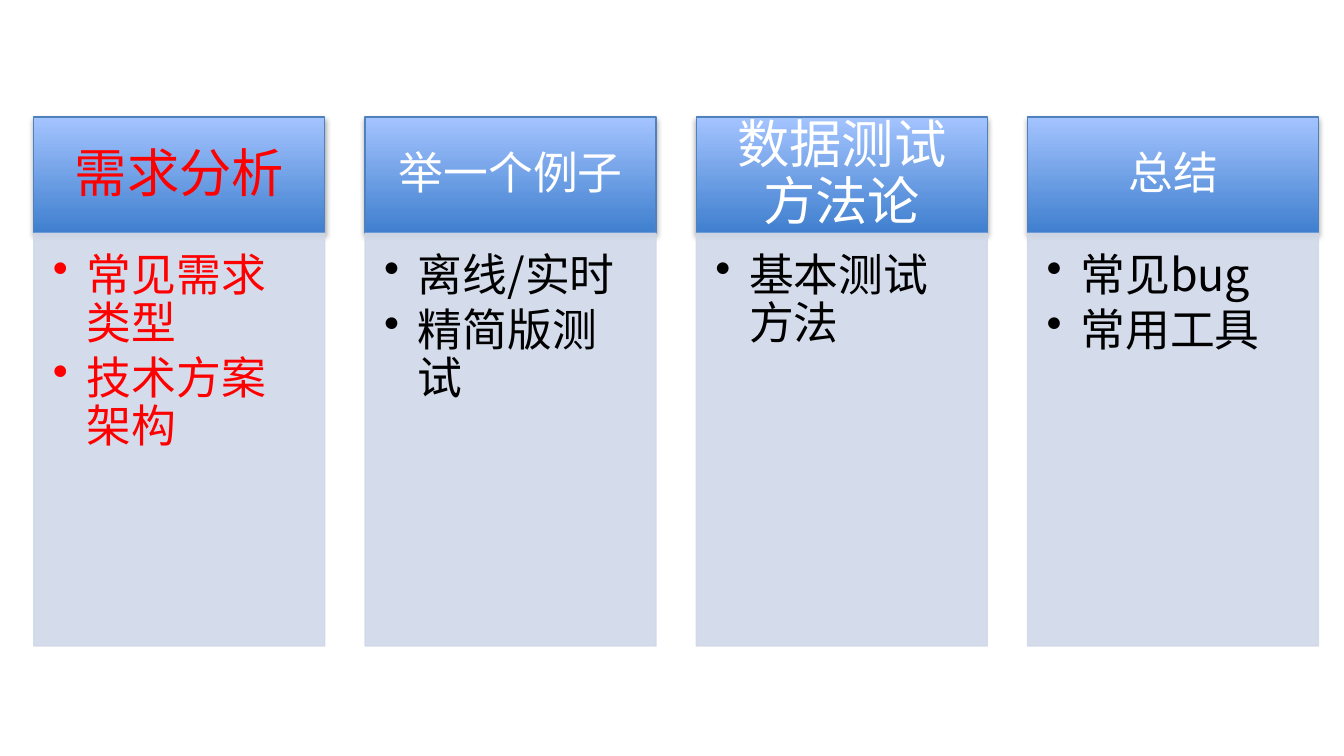
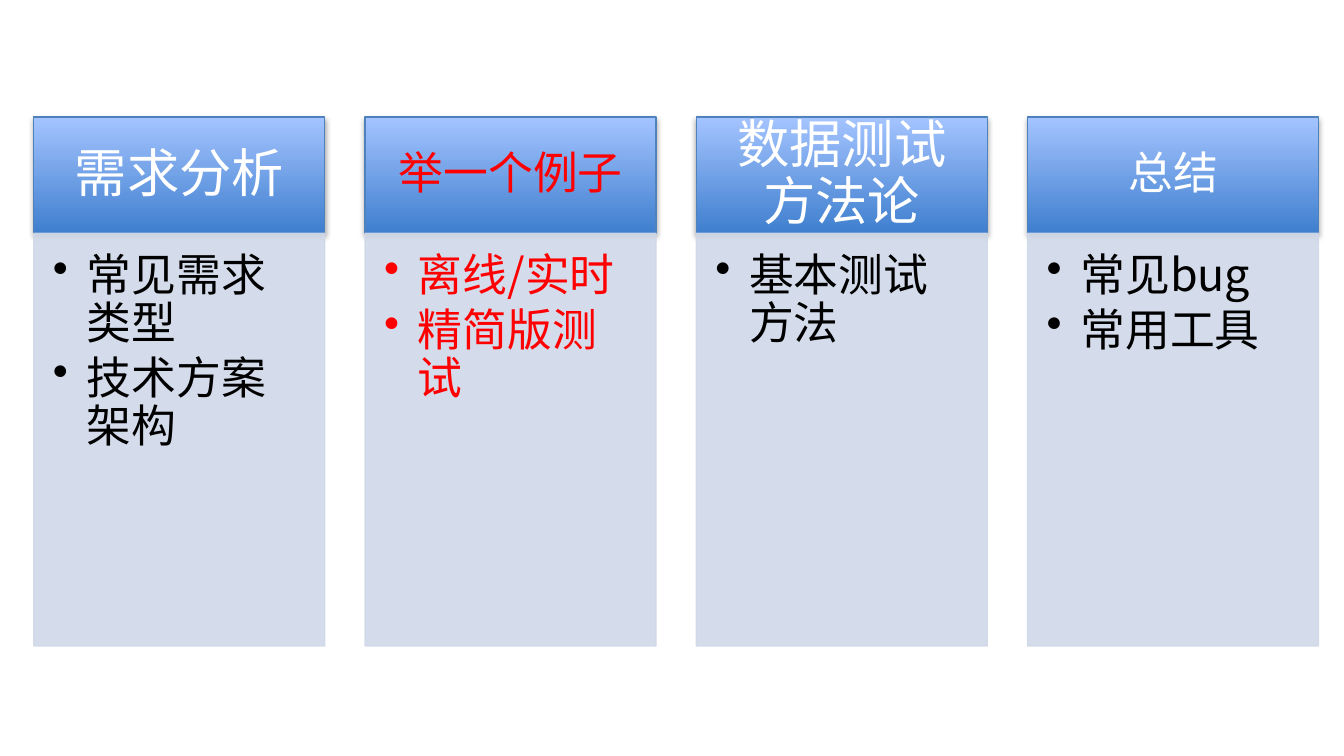
from lxml.etree import SubElement
from pptx import Presentation
from pptx.dml.color import RGBColor
from pptx.enum.shapes import MSO_SHAPE
from pptx.enum.text import MSO_ANCHOR, PP_ALIGN
from pptx.oxml.ns import qn
from pptx.util import Cm, Pt

# Heading, heading size in points, bullet points
SECTIONS = [
    ("需求分析", 28, ["常见需求类型", "技术方案架构"]),
    ("举一个例子", 24, ["离线/实时", "精简版测试"]),
    ("数据测试方法论", 28, ["基本测试方法"]),
    ("总结", 24, ["常见bug", "常用工具"]),
]
ACTIVE_SECTIONS = [0, 1]  # the highlighted section of each slide

COLORS = {
    "header_bottom": "3F7FCE",
    "header_top": "A4C4FF",
    "header_line": "4F81BD",
    "body": "D0D8E8",
    "header_text": "FFFFFF",
    "body_text": "000000",
    "active": "FF0000",
    "shadow": "000000",
}
FONT = "Noto Sans CJK SC"
BODY_SIZE = 24
LEFT, TOP, COLUMN_WIDTH, COLUMN_STEP = 0.64, 2.21, 5.5, 6.26
HEADER_HEIGHT, BODY_HEIGHT = 2.2, 7.8


def rgb(name):
    return RGBColor.from_string(COLORS[name])


def add_box(slide, left, top, height, line_color):
    shape = slide.shapes.add_shape(
        MSO_SHAPE.RECTANGLE, Cm(left), Cm(top), Cm(COLUMN_WIDTH), Cm(height))
    shape.shadow.inherit = False
    shape.line.color.rgb = rgb(line_color)
    shape.line.width = Pt(0.75)
    return shape


def add_shadow(shape):
    effects = shape._element.spPr.find(qn("a:effectLst"))
    shadow = SubElement(effects, qn("a:outerShdw"), blurRad=str(Pt(3.1)),
                        dist=str(Pt(1.8)), dir="5400000", rotWithShape="0")
    color = SubElement(shadow, qn("a:srgbClr"), val=COLORS["shadow"])
    SubElement(color, qn("a:alpha"), val="35000")


def set_opacity(shape, percent):
    """Apply the opacity to both the fill and the outline."""
    for color in shape._element.spPr.iter(qn("a:srgbClr")):
        SubElement(color, qn("a:alpha"), val=str(percent * 1000))


def set_insets(text_frame, left, top, right, bottom):
    text_frame.margin_left, text_frame.margin_top = left, top
    text_frame.margin_right, text_frame.margin_bottom = right, bottom


def write_text(text_frame, lines, size, color, space_after):
    text_frame.word_wrap = True
    text_frame.text = "\n".join(lines)
    for paragraph in text_frame.paragraphs:
        paragraph.line_spacing = 0.9
        paragraph.space_after = Pt(size * space_after)
        for run in paragraph.runs:
            run.font.size = Pt(size)
            run.font.name = FONT
            run.font.color.rgb = rgb(color)
            SubElement(run._r.get_or_add_rPr(), qn("a:ea"), typeface=FONT)


def add_bullet(paragraph):
    paragraph.alignment = PP_ALIGN.LEFT
    paragraph.level = 1
    properties = paragraph._p.get_or_add_pPr()
    properties.set("marL", str(Cm(0.64)))
    properties.set("indent", str(-Cm(0.64)))
    SubElement(properties, qn("a:buChar"), char="•")


def add_header(slide, left, heading, size, color):
    header = add_box(slide, left, TOP, HEADER_HEIGHT, "header_line")
    header.fill.gradient()
    header.fill.gradient_angle = 90
    for stop, name in zip(header.fill.gradient_stops, ("header_bottom", "header_top")):
        stop.color.rgb = rgb(name)
    for stop, position in zip(header.fill.gradient_stops, (0, 1)):
        stop.position = position
    add_shadow(header)
    text_frame = header.text_frame
    side, edge = Pt(size * 0.56), Pt(size * 0.32)
    set_insets(text_frame, side, edge, side, edge)
    text_frame.vertical_anchor = MSO_ANCHOR.MIDDLE
    write_text(text_frame, [heading], size, color, 0.35)
    text_frame.paragraphs[0].alignment = PP_ALIGN.CENTER


def add_body(slide, left, points, color):
    body = add_box(slide, left, TOP + HEADER_HEIGHT, BODY_HEIGHT, "body")
    body.fill.solid()
    body.fill.fore_color.rgb = rgb("body")
    set_opacity(body, 90)
    text_frame = body.text_frame
    set_insets(text_frame, Cm(0.36), Cm(0.36), Cm(0.47), Cm(0.53))
    text_frame.vertical_anchor = MSO_ANCHOR.TOP
    write_text(text_frame, points, BODY_SIZE, color, 0.15)
    for paragraph in text_frame.paragraphs:
        add_bullet(paragraph)


def add_agenda(presentation, active):
    slide = presentation.slides.add_slide(presentation.slide_layouts[6])
    for index, (heading, size, points) in enumerate(SECTIONS):
        left = LEFT + index * COLUMN_STEP
        is_active = index == active
        add_header(slide, left, heading, size, "active" if is_active else "header_text")
        add_body(slide, left, points, "active" if is_active else "body_text")


def main():
    presentation = Presentation()
    presentation.slide_width, presentation.slide_height = Cm(25.4), Cm(14.29)
    for active in ACTIVE_SECTIONS:
        add_agenda(presentation, active)
    presentation.save("out.pptx")


if __name__ == "__main__":
    main()
